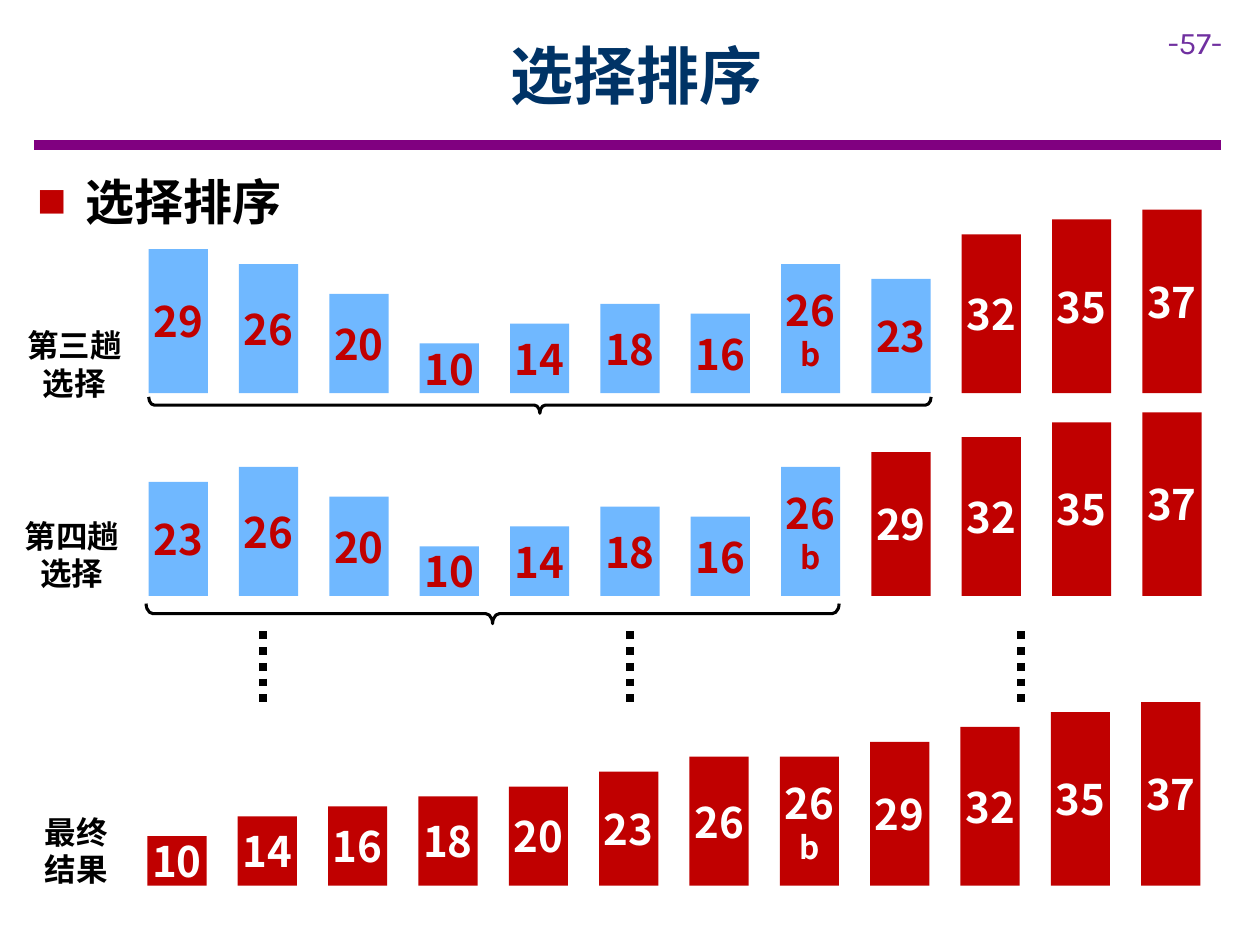
from dataclasses import dataclass

from lxml.etree import SubElement
from pptx import Presentation
from pptx.dml.color import RGBColor
from pptx.enum.dml import MSO_LINE
from pptx.enum.shapes import MSO_CONNECTOR, MSO_SHAPE
from pptx.enum.text import MSO_ANCHOR, PP_ALIGN
from pptx.oxml.ns import qn
from pptx.util import Inches, Mm, Pt


@dataclass(frozen=True)
class Theme:
    font: str = "Noto Sans CJK SC"
    number_font: str = "Karla"
    title: str = "003366"
    rule: str = "800080"
    number: str = "7030A0"
    ink: str = "000000"
    white: str = "FFFFFF"
    unsorted: str = "70B8FF"
    sorted: str = "C00000"
    title_size: int = 36
    body_size: int = 28
    bar_size: int = 24
    small_size: int = 18


@dataclass(frozen=True)
class Pass:
    """One row of bars; the first `pending` bars are not sorted yet."""
    label: str
    label_box: tuple[float, float, float, float]
    bars: str
    pending: int
    base: float
    left: float


@dataclass(frozen=True)
class Brace:
    left: float
    top: float
    width: float
    height: float


THEME = Theme()
COLUMN_STEP = 0.717
BAR_WIDTH = 0.47

PASSES = [
    Pass("第三趟\n选择", (0.11, 2.54, 0.96, 0.71),
         "29 26 20 10 14 18 16 26b 23 32 35 37", 9, 3.12, 1.18),
    Pass("第四趟\n选择", (0.09, 4.05, 0.96, 0.71),
         "23 26 20 10 14 18 16 26b 29 32 35 37", 8, 4.73, 1.18),
    Pass("最终\n结果", (0.25, 6.4, 0.71, 0.71),
         "10 14 16 18 20 23 26 26b 29 32 35 37", 0, 7.03, 1.17),
]
BRACES = [Brace(1.18, 3.15, 6.21, 0.13), Brace(1.16, 4.79, 5.5, 0.16)]
ELLIPSIS_X = (2.09, 5, 8.1)


def rgb(color: str) -> RGBColor:
    return RGBColor.from_string(color)


def write(tf, text: str, *, size: float, color: str, font: str = THEME.font,
          bold: bool = True, align=PP_ALIGN.CENTER, small_from: int = 99) -> None:
    """Fill a text frame, one paragraph a line; lines from small_from on are small."""
    for i, line in enumerate(text.split("\n")):
        p = tf.paragraphs[0] if i == 0 else tf.add_paragraph()
        p.alignment = align
        r = p.add_run()
        r.text = line
        r.font.size = Pt(THEME.small_size if i >= small_from else size)
        r.font.bold = bold
        r.font.name = font
        r.font.color.rgb = rgb(color)
        SubElement(r.font._element, qn("a:ea")).set("typeface", font)


def add_text(slide, box: tuple, text: str, *, wrap: bool = True, **style):
    sp = slide.shapes.add_textbox(*map(Inches, box))
    sp.text_frame.word_wrap = wrap
    write(sp.text_frame, text, **style)
    return sp


def add_line(slide, start: tuple, end: tuple, color: str, width: float, dash=None) -> None:
    line = slide.shapes.add_connector(MSO_CONNECTOR.STRAIGHT, *map(Inches, start + end))
    line.line.color.rgb = rgb(color)
    line.line.width = Pt(width)
    if dash is not None:
        line.line.dash_style = dash
    SubElement(line._element.spPr, qn("a:effectLst"))


def add_bar(slide, name: str, left: float, base: float, done: bool) -> None:
    """Draw a bar one millimetre high for each unit of its value."""
    height = Mm(int(name[:2]))
    sp = slide.shapes.add_shape(MSO_SHAPE.RECTANGLE, Inches(left), Inches(base) - height,
                                Inches(BAR_WIDTH), height)
    sp.shadow.inherit = False
    sp.fill.solid()
    sp.fill.fore_color.rgb = rgb(THEME.sorted if done else THEME.unsorted)
    sp.line.fill.background()
    tf = sp.text_frame
    tf.word_wrap = True
    tf.vertical_anchor = MSO_ANCHOR.MIDDLE
    tf.margin_left = tf.margin_right = 0
    tf.margin_top = tf.margin_bottom = Inches(0.1)
    write(tf, name.replace("b", "\nb"), size=THEME.bar_size,
          color=THEME.white if done else THEME.sorted, small_from=1)


def add_pass(slide, row: Pass) -> None:
    for column, name in enumerate(row.bars.split()):
        add_bar(slide, name, row.left + column * COLUMN_STEP, row.base,
                column >= row.pending)
    add_text(slide, row.label_box, row.label, wrap=False,
             size=THEME.small_size, color=THEME.ink)


def add_brace(slide, brace: Brace) -> None:
    """Turn a left brace on its side so that it opens upwards over the given box."""
    x = brace.left + (brace.width - brace.height) / 2
    y = brace.top + (brace.height - brace.width) / 2
    sp = slide.shapes.add_shape(MSO_SHAPE.LEFT_BRACE,
                                *map(Inches, (x, y, brace.height, brace.width)))
    sp.rotation = 270
    sp.adjustments[0] = 0.34
    sp.shadow.inherit = False
    sp.fill.solid()
    sp.fill.fore_color.rgb = rgb(THEME.white)
    sp.line.color.rgb = rgb(THEME.ink)
    sp.line.width = Pt(1.75)


def add_bullet(p, indent: float) -> None:
    pPr = p._p.get_or_add_pPr()
    pPr.set("marL", str(Inches(indent)))
    pPr.set("indent", str(-Inches(indent)))
    color = SubElement(pPr, qn("a:buClr"))
    SubElement(color, qn("a:srgbClr")).set("val", THEME.sorted)
    SubElement(pPr, qn("a:buSzPct")).set("val", "60000")
    SubElement(pPr, qn("a:buFont")).set("typeface", THEME.font)
    SubElement(pPr, qn("a:buChar")).set("char", "■")


def add_heading(slide) -> None:
    title = slide.shapes.title
    title.left, title.top, title.width, title.height = map(Inches, (0.9, 0.09, 8.31, 1))
    title.text_frame.vertical_anchor = MSO_ANCHOR.MIDDLE
    write(title.text_frame, "选择排序", size=THEME.title_size, color=THEME.title)
    add_line(slide, (0.27, 1.15), (9.69, 1.15), THEME.rule, 6)
    add_text(slide, (9.17, 0.13, 0.83, 0.4), "-57-", size=THEME.small_size,
             color=THEME.number, font=THEME.number_font, bold=False, align=PP_ALIGN.LEFT)
    topic = add_text(slide, (0.2, 1.31, 9.45, 0.57), "选择排序", size=THEME.body_size,
                     color=THEME.ink, align=PP_ALIGN.LEFT)
    p = topic.text_frame.paragraphs[0]
    p.space_after = Pt(6)
    add_bullet(p, 0.38)


def main() -> None:
    prs = Presentation()
    prs.slide_width, prs.slide_height = Inches(10), Inches(7.5)
    slide = prs.slides.add_slide(prs.slide_layouts[5])
    add_heading(slide)
    for brace in BRACES:
        add_brace(slide, brace)
    for row in PASSES:
        add_pass(slide, row)
    for x in ELLIPSIS_X:
        add_line(slide, (x, 5.01), (x, 5.57), THEME.ink, 4.5, MSO_LINE.ROUND_DOT)
    prs.save("out.pptx")


if __name__ == "__main__":
    main()
